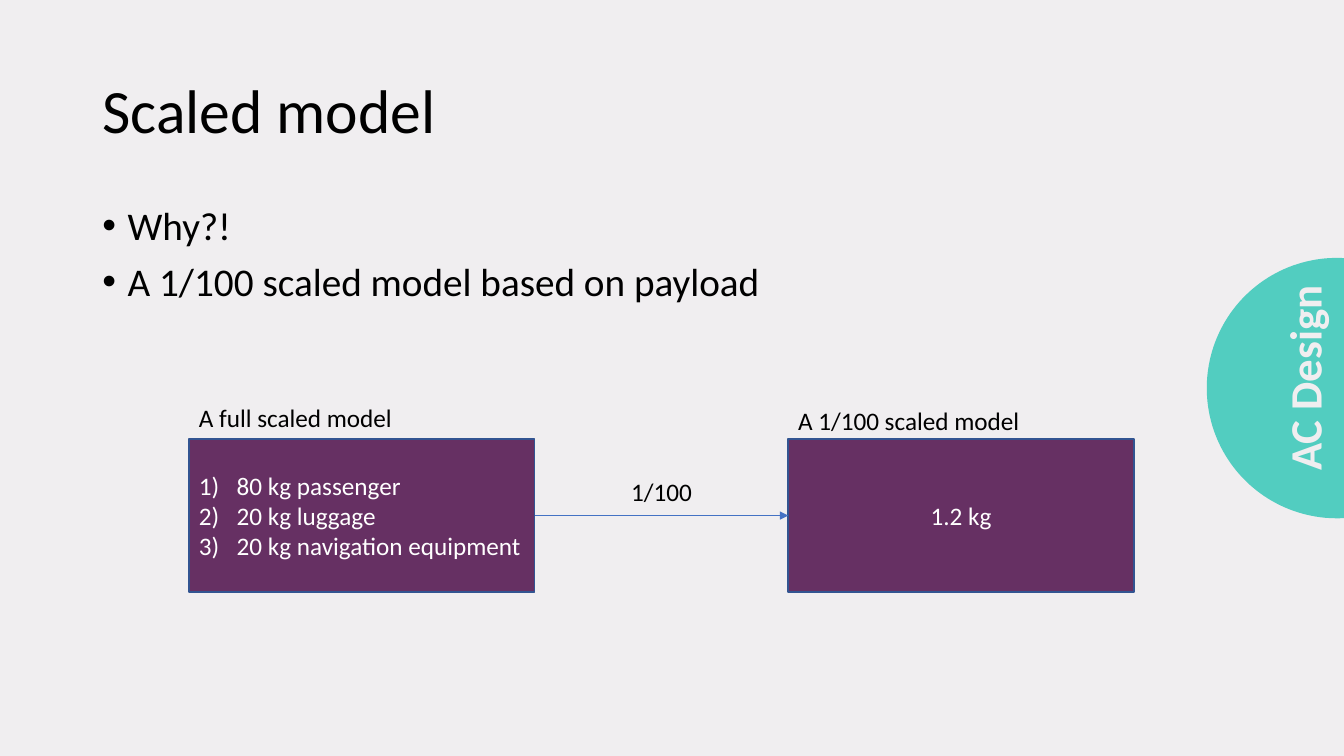
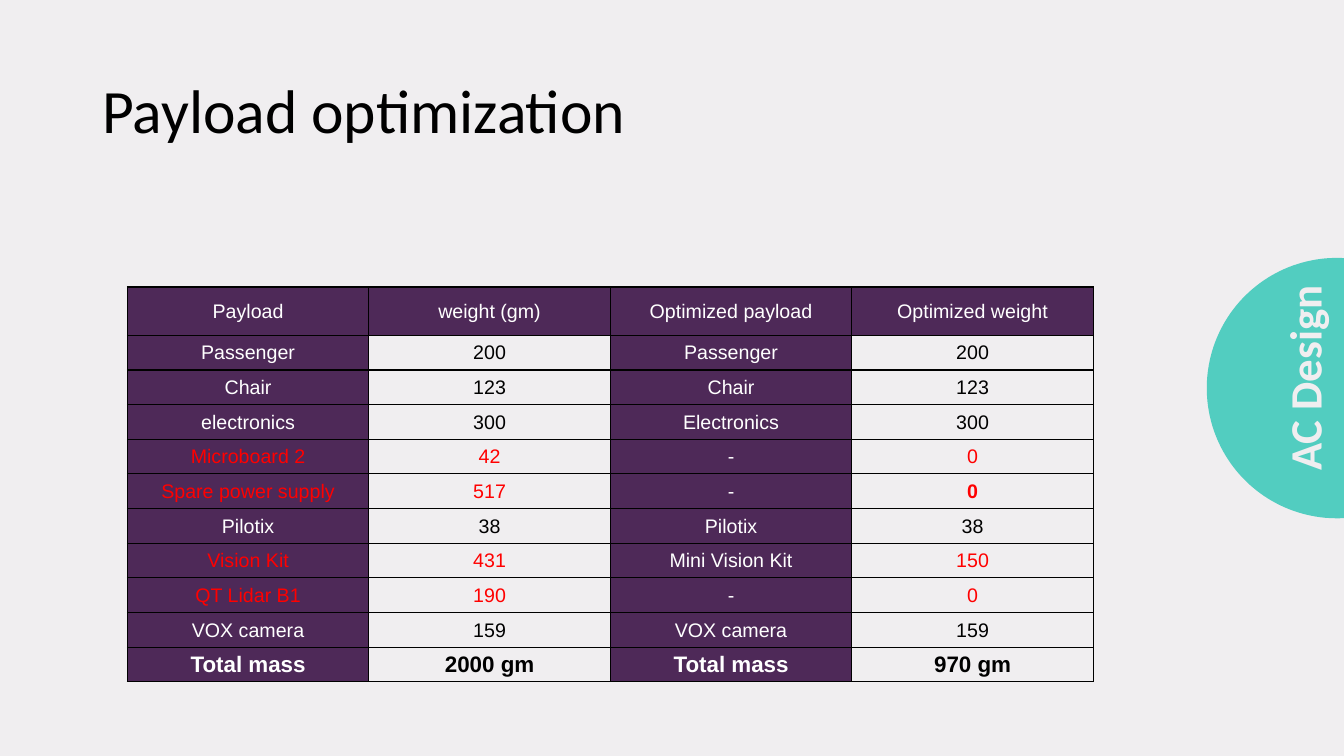
from math import acos, cos, pi, sin

from pptx import Presentation
from pptx.dml.color import RGBColor
from pptx.enum.shapes import MSO_CONNECTOR, MSO_SHAPE
from pptx.enum.text import MSO_ANCHOR as Anchor, MSO_AUTO_SIZE, PP_ALIGN as Align
from pptx.oxml.ns import qn
from pptx.util import Pt
from lxml.etree import SubElement

BACKGROUND = RGBColor(0xF0, 0xEE, 0xF0)
BLACK = RGBColor(0, 0, 0)
WHITE = RGBColor(0xFF, 0xFF, 0xFF)
RED = RGBColor(0xFF, 0, 0)
PURPLE = RGBColor(0x66, 0x30, 0x63)
DARK_PURPLE = RGBColor(0x4E, 0x29, 0x58)
TEAL = RGBColor(0x52, 0xCD, 0xC0)
BOX_LINE = RGBColor(0x32, 0x54, 0x91)
ARROW_BLUE = RGBColor(0x44, 0x72, 0xC4)

WIDTH, HEIGHT = 960, 540
TITLE_ONLY, TITLE_AND_BODY = 5, 1
SECTION = "AC Design"

PAYLOADS = [
    ("Payload", "weight (gm)", "Optimized payload", "Optimized weight"),
    ("Passenger", "200", "Passenger", "200"),
    ("Chair", "123", "Chair", "123"),
    ("electronics", "300", "Electronics", "300"),
    ("Microboard 2", "42", "-", "0"),
    ("Spare power supply", "517", "-", "0"),
    ("Pilotix", "38", "Pilotix", "38"),
    ("Vision Kit", "431", "Mini Vision Kit", "150"),
    ("QT Lidar B1", "190", "-", "0"),
    ("VOX camera", "159", "VOX camera", "159"),
    ("Total mass", "2000 gm", "Total mass", "970 gm"),
]
BOLD_CELL = (5, 3)


class Slides:
    """Holds the shared style and the slide being filled."""

    def __init__(self):
        self.deck = Presentation()
        self.deck.slide_width, self.deck.slide_height = Pt(WIDTH), Pt(HEIGHT)
        fill = self.deck.slide_master.background.fill
        fill.solid()
        fill.fore_color.rgb = BACKGROUND
        self.page = None

    def start(self, title, layout):
        self.page = self.deck.slides.add_slide(self.deck.slide_layouts[layout])
        holder = self.page.shapes.title
        self.place(holder, 66, 28.75, 828, 104.4)
        holder.text_frame.vertical_anchor = Anchor.MIDDLE
        self.set_text(holder.text_frame, [title], 44, spacing=0.9)
        self.section_tab()

    def place(self, shape, left, top, width, height):
        shape.left, shape.top = Pt(left), Pt(top)
        shape.width, shape.height = Pt(width), Pt(height)

    def set_text(self, frame, lines, size, color=BLACK, align=Align.LEFT, bold=False,
                 font="Calibri", spacing=1.0, before=0, indent=0, bullet=None):
        """Fill a frame, one paragraph a line; bullet is a tag and its attributes."""
        frame.word_wrap = True
        frame.auto_size = MSO_AUTO_SIZE.NONE
        for index, line in enumerate(lines):
            para = frame.add_paragraph() if index else frame.paragraphs[0]
            para.text = line
            para.alignment = align
            para.line_spacing, para.space_before = spacing, Pt(before)
            if bullet:
                tag, attributes = bullet
                properties = para._p.get_or_add_pPr()
                properties.set("marL", str(Pt(indent)))
                properties.set("indent", str(-Pt(indent)))
                bullet_font = "Arial" if tag == "a:buChar" else "+mj-lt"
                SubElement(properties, qn("a:buFont"), typeface=bullet_font)
                SubElement(properties, qn(tag), attributes)
            para.font.name, para.font.size = font, Pt(size)
            para.font.bold, para.font.color.rgb = bold, color

    def section_tab(self):
        """Draw the disc that the right edge of the slide cuts off, and its label."""
        center_x, center_y, radius, steps = 955, 277.2, 93, 90
        start = acos((WIDTH - center_x) / radius)
        angles = [start + (2 * pi - 2 * start) * step / steps for step in range(steps + 1)]
        points = [(Pt(center_x + radius * cos(angle)), Pt(center_y + radius * sin(angle)))
                  for angle in angles]
        builder = self.page.shapes.build_freeform(*points[0])
        builder.add_line_segments(points[1:], close=True)
        disc = builder.convert_to_shape()
        disc.shadow.inherit = False
        disc.fill.solid()
        disc.fill.fore_color.rgb = TEAL
        disc.line.fill.background()
        label = self.label(SECTION, 854.5, 245.5, 157, 49, 32, BACKGROUND, Align.CENTER, True)
        label.rotation = 270

    def label(self, text, left, top, width, height=29, size=18, color=BLACK,
              align=Align.LEFT, bold=False):
        box = self.page.shapes.add_textbox(Pt(left), Pt(top), Pt(width), Pt(height))
        self.set_text(box.text_frame, [text], size, color, align, bold)
        return box

    def bullets(self, lines):
        body = self.page.placeholders[1]
        self.place(body, 66, 143.75, 828, 342.6)
        self.set_text(body.text_frame, lines, 28, spacing=0.9, before=10, indent=18,
                      bullet=("a:buChar", {"char": "•"}))

    def box(self, lines, left, top, width, height, **style):
        box = self.page.shapes.add_shape(
            MSO_SHAPE.RECTANGLE, Pt(left), Pt(top), Pt(width), Pt(height))
        box.shadow.inherit = False
        box.fill.solid()
        box.fill.fore_color.rgb = PURPLE
        box.line.color.rgb, box.line.width = BOX_LINE, Pt(1)
        box.text_frame.vertical_anchor = Anchor.MIDDLE
        self.set_text(box.text_frame, lines, 18, WHITE, **style)
        return box

    def arrow(self, source, target):
        """Join the right side of source to the left side of target."""
        arrow = self.page.shapes.add_connector(MSO_CONNECTOR.STRAIGHT, 0, 0, 0, 0)
        arrow.begin_connect(source, 3)
        arrow.end_connect(target, 1)
        arrow.line.color.rgb, arrow.line.width = ARROW_BLUE, Pt(0.5)
        SubElement(arrow.line._get_or_add_ln(), qn("a:tailEnd"), type="triangle")
        SubElement(arrow._element.spPr, qn("a:effectLst"))

    def table(self, rows, left, top, column_width, header_height, row_height):
        columns = len(rows[0])
        height = header_height + row_height * (len(rows) - 1)
        table = self.page.shapes.add_table(
            len(rows), columns, Pt(left), Pt(top),
            Pt(column_width * columns), Pt(height)).table
        table.first_row = table.horz_banding = False
        for column in table.columns:
            column.width = Pt(column_width)
        for index, row in enumerate(table.rows):
            row.height = Pt(row_height if index else header_height)
        for row, texts in enumerate(rows):
            total = row == len(rows) - 1
            changed = texts[1] != texts[3] and 0 < row and not total
            for column, text in enumerate(texts):
                dark = row == 0 or column % 2 == 0
                color = WHITE if dark else BLACK
                if changed and column != 2:
                    color = RED
                cell = table.cell(row, column)
                self.style_cell(cell, dark)
                self.set_text(cell.text_frame, [text], 16 if total else 14, color,
                              Align.CENTER, total or (row, column) == BOLD_CELL, "Arial")

    def style_cell(self, cell, dark):
        cell.vertical_anchor = Anchor.MIDDLE
        cell.margin_left = cell.margin_right = cell.margin_top = Pt(0.7)
        cell.margin_bottom = 0
        properties = cell._tc.get_or_add_tcPr()
        for side in ("L", "R", "T", "B"):
            border = SubElement(properties, qn(f"a:ln{side}"), w=str(Pt(1)))
            fill = SubElement(border, qn("a:solidFill"))
            SubElement(fill, qn("a:srgbClr"), val=str(BLACK))
        if dark:
            cell.fill.solid()
            cell.fill.fore_color.rgb = DARK_PURPLE
        else:
            cell.fill.background()


def scaled_model(slides):
    slides.start("Scaled model", TITLE_AND_BODY)
    slides.bullets(["Why?!", "A 1/100 scaled model based on payload"])
    full_left, scaled_left, top, width, height = 135, 563, 313.5, 247, 109.5
    full = slides.box(
        ["80 kg passenger", "20 kg luggage", "20 kg navigation equipment"],
        full_left, top, width, height,
        indent=27, bullet=("a:buAutoNum", {"type": "arabicParenR"}))
    scaled = slides.box(["1.2 kg"], scaled_left, top, width, height, align=Align.CENTER)
    slides.label("A full scaled model", full_left, 284, width)
    slides.label("A 1/100 scaled model", scaled_left, 286, width)
    slides.arrow(full, scaled)
    gap_left = full_left + width
    slides.label("1/100", gap_left, 337, scaled_left - gap_left, align=Align.CENTER)


def payload_optimization(slides):
    slides.start("Payload optimization", TITLE_ONLY)
    slides.table(PAYLOADS, 91, 205, 172.5, 34.5, 24.75)


def main():
    slides = Slides()
    scaled_model(slides)
    payload_optimization(slides)
    slides.deck.save("out.pptx")


if __name__ == "__main__":
    main()
